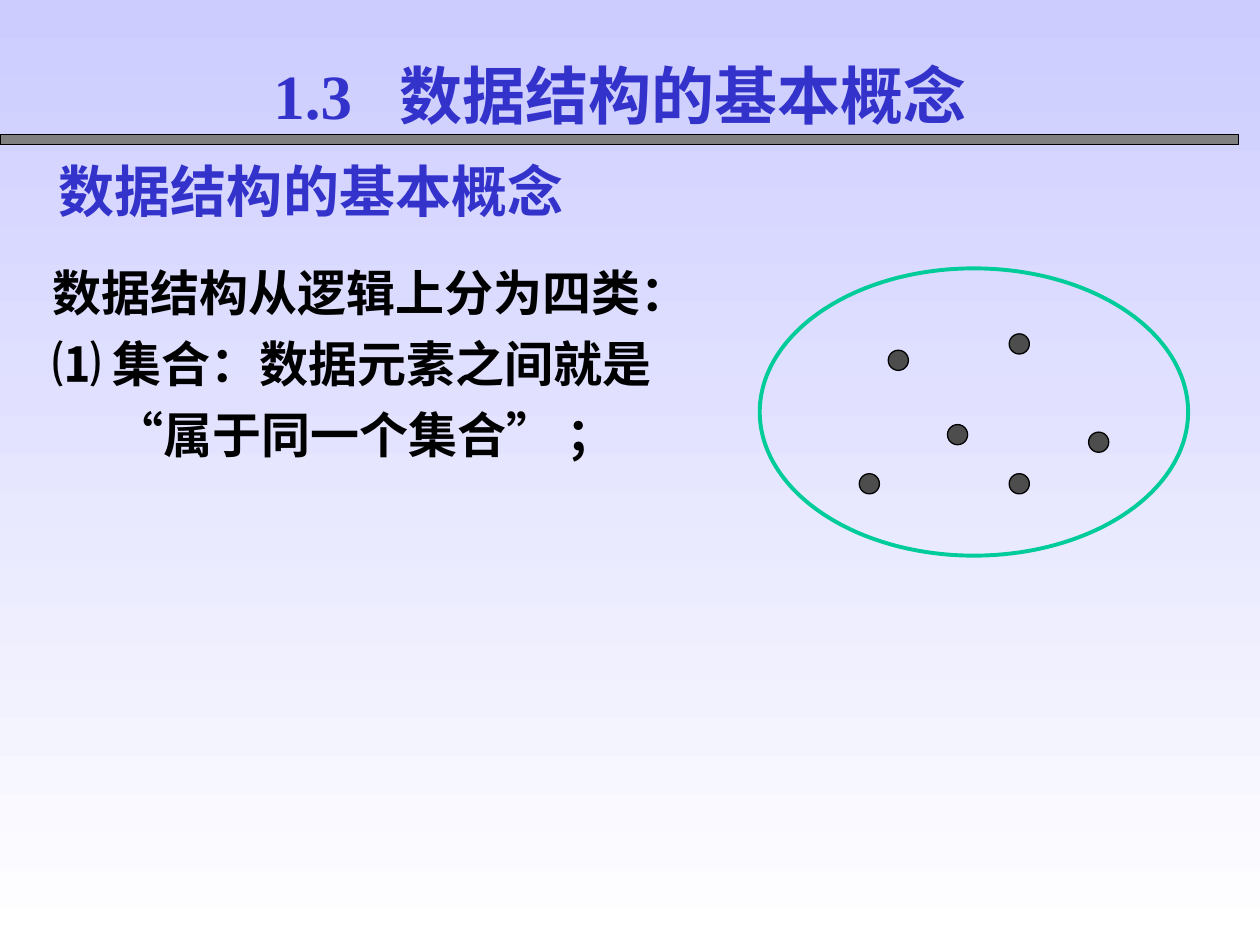
from pptx import Presentation
from pptx.dml.color import RGBColor
from pptx.enum.shapes import MSO_SHAPE
from pptx.enum.text import MSO_ANCHOR, MSO_AUTO_SIZE, PP_ALIGN
from pptx.oxml.ns import qn
from pptx.util import Inches, Pt
from lxml.etree import SubElement

COLORS = {
    "sky": "CCCCFF", "white": "FFFFFF", "heading": "3333CC", "text": "000000",
    "rule": "808080", "set": "00CC99", "element": "4D4D4D",
}
FONT = "Times New Roman"
DOT = 0.16
DOTS = [(7.05, 2.78), (8.01, 2.65), (6.82, 3.76),
        (8.01, 3.76), (7.52, 3.37), (8.64, 3.43)]


def rgb(name):
    return RGBColor.from_string(COLORS[name])


def set_background(s):
    fill = s.background.fill
    fill.gradient()
    fill.gradient_angle = 270
    for stop, name in zip(fill.gradient_stops, ("sky", "white")):
        stop.color.rgb = rgb(name)


def place(sp, left, top, width, height):
    sp.left, sp.top = Inches(left), Inches(top)
    sp.width, sp.height = Inches(width), Inches(height)


def write(sp, lines, size, color, space=0, tab=None):
    tf = sp.text_frame
    tf.word_wrap = True
    tf.auto_size = MSO_AUTO_SIZE.NONE
    tf.vertical_anchor = MSO_ANCHOR.TOP
    tf.text = "\n".join(lines)
    for i, p in enumerate(tf.paragraphs):
        pPr = p._p.get_or_add_pPr()
        pPr.set("marL", "0")
        pPr.set("indent", "0")
        p.alignment = PP_ALIGN.LEFT
        p.space_before = Pt(space if i else 0)
        SubElement(pPr, qn("a:buNone"))
        if tab:
            tabs = SubElement(pPr, qn("a:tabLst"))
            SubElement(tabs, qn("a:tab"), pos=str(Inches(tab)), algn="l")
        for r in p.runs:
            r.font.name = FONT
            r.font.size = Pt(size)
            r.font.bold = True
            r.font.color.rgb = rgb(color)
    return tf


def add_outline(shapes, kind, box, line, weight, fill=None):
    sp = shapes.add_shape(kind, *map(Inches, box))
    sp.shadow.inherit = False
    if fill:
        sp.fill.solid()
        sp.fill.fore_color.rgb = rgb(fill)
    else:
        sp.fill.background()
    sp.line.color.rgb = rgb(line)
    sp.line.width = Pt(weight)


def add_set_diagram(s):
    shapes = s.shapes.add_group_shape().shapes
    add_outline(shapes, MSO_SHAPE.OVAL, (6.03, 2.13, 3.4, 2.28), "set", 2.25)
    for x, y in DOTS:
        add_outline(shapes, MSO_SHAPE.OVAL, (x, y, DOT, DOT), "text", 0.75, "element")


def main():
    prs = Presentation()
    prs.slide_width, prs.slide_height = Inches(10), Inches(7.5)
    s = prs.slides.add_slide(prs.slide_layouts[1])
    set_background(s)

    # Title and the rule beneath it
    title, body = s.placeholders
    place(title, 2.07, 0.4, 5.76, 0.7)
    write(title, ["1.3\t数据结构的基本概念"], 36, "heading", tab=1)
    add_outline(s.shapes, MSO_SHAPE.RECTANGLE, (0, 1.07, 9.83, 0.08), "text", 0.75, "rule")

    # Section heading
    heading = s.shapes.add_textbox(*map(Inches, (0.37, 1.19, 5.76, 0.64)))
    write(heading, ["数据结构的基本概念"], 32, "heading")

    # Body list, with the continuation line indented
    place(body, 0.32, 2.03, 5.56, 5.07)
    tf = write(body, ["数据结构从逻辑上分为四类：", "⑴ 集合：数据元素之间就是",
                      "“属于同一个集合” ；"], 28, "text", space=7)
    tf.paragraphs[-1]._p.pPr.set("marL", str(Inches(0.49)))

    # Set of unrelated elements
    add_set_diagram(s)
    prs.save("out.pptx")


if __name__ == "__main__":
    main()
